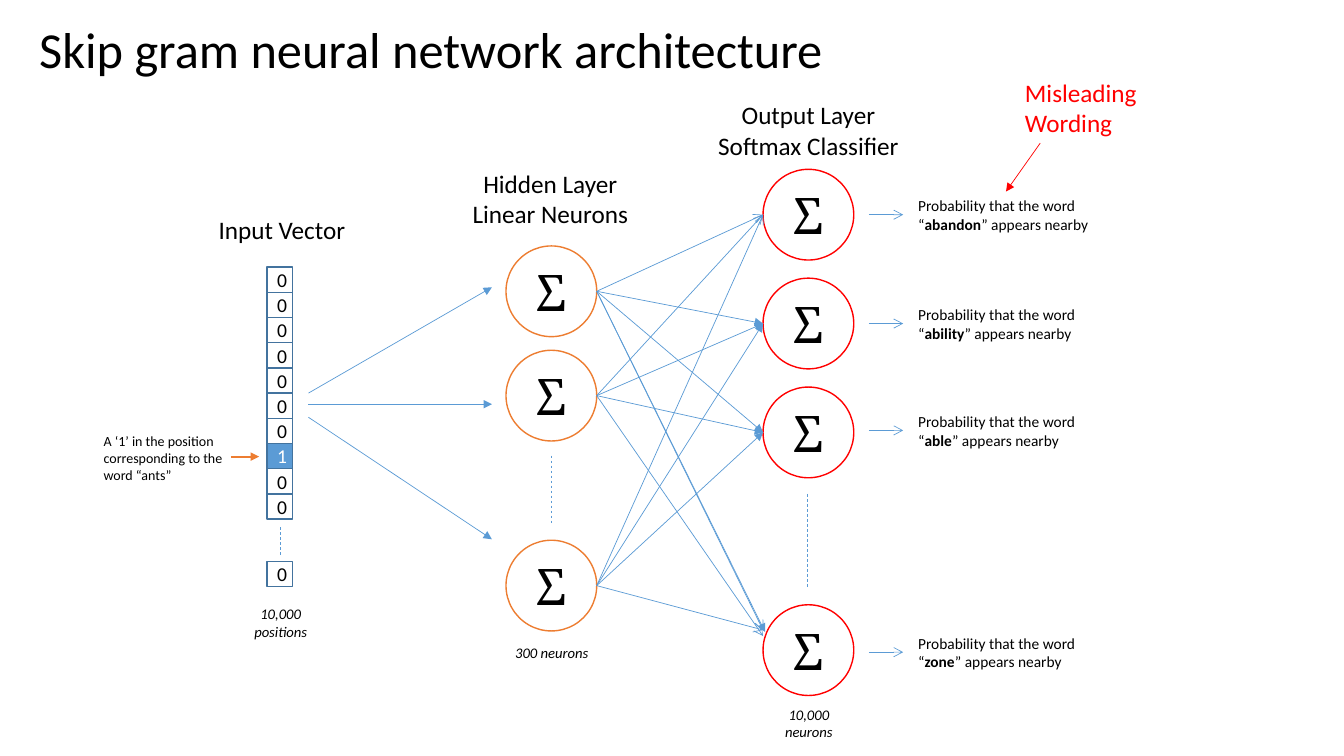
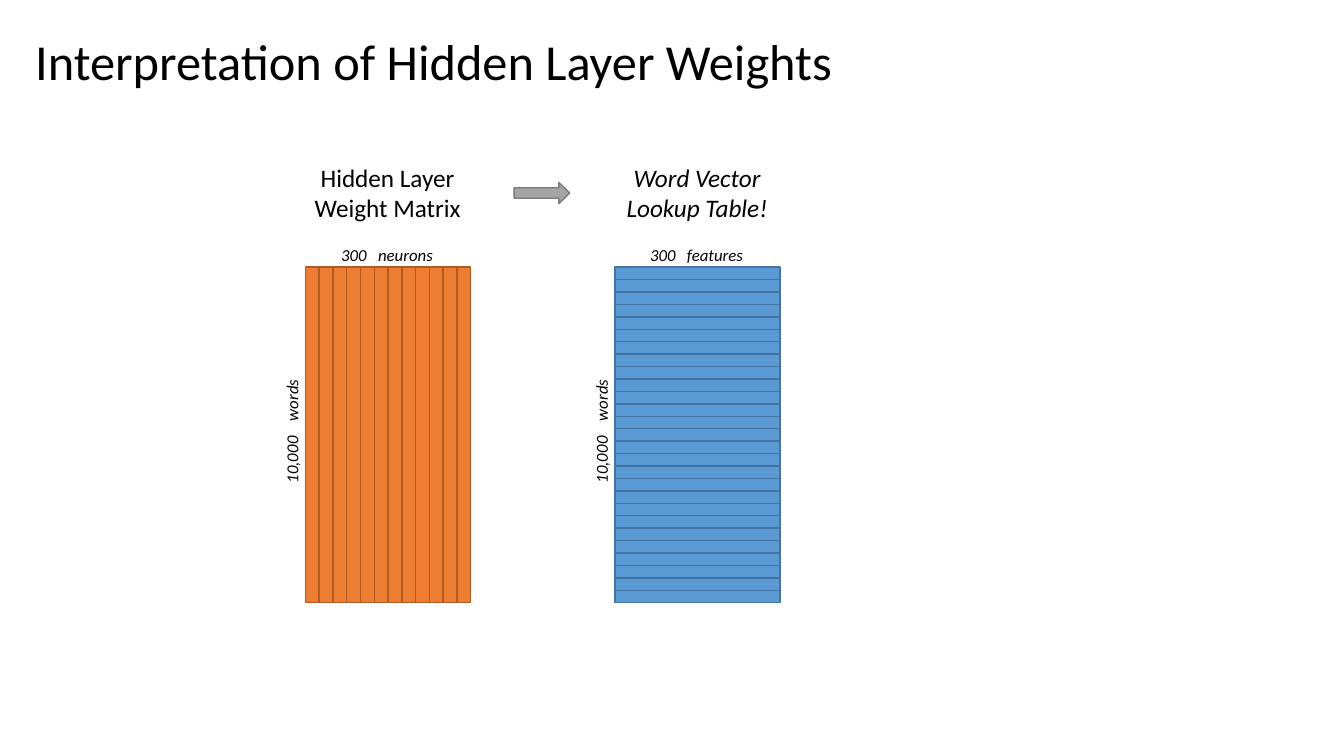
import dataclasses
import itertools
from typing import Any, Optional

import pptx
import pptx.dml.color
import pptx.enum.dml
import pptx.enum.shapes
import pptx.enum.text
import pptx.oxml
import pptx.oxml.ns
import pptx.slide
import pptx.util

# Shared look: colours, fonts and a grid of tenth-inch columns and rows
RGB = pptx.dml.color.RGBColor
BLACK = RGB(0x00, 0x00, 0x00)
WHITE = RGB(0xFF, 0xFF, 0xFF)
RED = RGB(0xFF, 0x00, 0x00)
BLUE = RGB(0x5B, 0x9B, 0xD5)
DARK_BLUE = RGB(0x43, 0x73, 0x9E)
ORANGE = RGB(0xED, 0x7D, 0x31)
DARK_ORANGE = RGB(0xAF, 0x5C, 0x24)
GREY = RGB(0xA5, 0xA5, 0xA5)
DARK_GREY = RGB(0x7A, 0x7A, 0x7A)

MODULE = pptx.util.Inches(0.1)
COLUMNS, ROWS = 133.33, 75
SHAPES = pptx.enum.shapes.MSO_SHAPE
CENTER = pptx.enum.text.PP_ALIGN.CENTER
LEFT = pptx.enum.text.PP_ALIGN.LEFT


def text_format(size: float, name: str = "Calibri", **more: Any) -> dict[str, Any]:
    return {"size": pptx.util.Pt(size), "name": name, **more}


TITLE = text_format(36)
HEADING = text_format(18)
HEADING_ITALIC = text_format(18, italic=True)
COUNT = text_format(10.5, italic=True)
DIMENSION = text_format(12, italic=True)
REMARK = text_format(10)
RESULT = text_format(11)
DIGIT = text_format(14)
SIGMA = text_format(36, "Cambria")


@dataclasses.dataclass(frozen=True)
class Area:
    left: float
    top: float
    width: float
    height: float

    def lengths(self) -> list[int]:
        return [grid(n) for n in (self.left, self.top, self.width, self.height)]


@dataclasses.dataclass(frozen=True)
class Span:
    text: str
    bold: bool = False
    spacing: float = 0


@dataclasses.dataclass(frozen=True)
class Label:
    area: Area
    paras: tuple[tuple[Span, ...], ...]
    format: dict[str, Any]
    align: Any = CENTER
    color: RGB = BLACK
    wrap: bool = True
    rotation: float = 0


@dataclasses.dataclass(frozen=True)
class Figure:
    kind: Any
    area: Area
    line: RGB
    fill: Optional[RGB] = None
    text: str = ""
    format: dict[str, Any] = dataclasses.field(default_factory=dict)
    color: RGB = BLACK


@dataclasses.dataclass(frozen=True)
class Stroke:
    start: tuple[float, float]
    end: tuple[float, float]
    head: str = ""
    color: RGB = BLUE
    weight: float = 0.5
    dashed: bool = False


# Drawing functions
def grid(count: float) -> int:
    return round(count * MODULE)


def apply(target: Any, values: dict[str, Any]) -> None:
    for name, value in values.items():
        setattr(target, name, value)


def lines(*texts: str) -> tuple[tuple[Span, ...], ...]:
    return tuple((Span(text),) for text in texts)


def write(para: Any, span: Span, values: dict[str, Any], color: RGB) -> None:
    run = para.add_run()
    run.text = span.text
    apply(run.font, values)
    run.font.color.rgb = color
    if span.bold:
        run.font.bold = True
    if span.spacing:
        run.font._element.set("spc", str(round(span.spacing * 100)))


def draw_label(page: pptx.slide.Slide, label: Label) -> None:
    box = page.shapes.add_textbox(*label.area.lengths())
    box.rotation = label.rotation
    frame = box.text_frame
    apply(frame, {"word_wrap": label.wrap,
                  "auto_size": pptx.enum.text.MSO_AUTO_SIZE.SHAPE_TO_FIT_TEXT})
    for index, spans in enumerate(label.paras):
        para = frame.add_paragraph() if index else frame.paragraphs[0]
        para.alignment = label.align
        for span in spans:
            write(para, span, label.format, label.color)


def draw_figure(page: pptx.slide.Slide, figure: Figure) -> None:
    shape = page.shapes.add_shape(figure.kind, *figure.area.lengths())
    shape.shadow.inherit = False
    shape.line.color.rgb = figure.line
    shape.line.width = pptx.util.Pt(1)
    if figure.fill is None:
        shape.fill.background()
    else:
        shape.fill.solid()
        shape.fill.fore_color.rgb = figure.fill
    if figure.text:
        shape.text_frame.vertical_anchor = pptx.enum.text.MSO_ANCHOR.MIDDLE
        para = shape.text_frame.paragraphs[0]
        para.alignment = CENTER
        write(para, Span(figure.text), figure.format, figure.color)


def draw_stroke(page: pptx.slide.Slide, stroke: Stroke) -> None:
    ends = [grid(n) for n in (*stroke.start, *stroke.end)]
    connector = page.shapes.add_connector(
        pptx.enum.shapes.MSO_CONNECTOR.STRAIGHT, *ends)
    connector.line.color.rgb = stroke.color
    connector.line.width = pptx.util.Pt(stroke.weight)
    if stroke.dashed:
        connector.line.dash_style = pptx.enum.dml.MSO_LINE.DASH
    properties = connector._element.spPr
    qn = pptx.oxml.ns.qn
    if stroke.head:
        tail = properties.find(qn("a:ln")).makeelement(
            qn("a:tailEnd"), {"type": stroke.head})
        properties.find(qn("a:ln")).append(tail)
    properties.append(properties.makeelement(qn("a:effectLst"), {}))


def draw_title(page: pptx.slide.Slide, text: str, left: float, top: float,
               width: float) -> None:
    draw_label(page, Label(Area(left, top, width, 7.1), lines(text), TITLE,
                           LEFT, wrap=False))


# Slide 1: network
VECTOR_LEFT, VECTOR_TOP, CELL = 26.5, 26.5, 2.5
CELL_ROWS = (*range(10), 11.68)
HOT_ROW = 7
NEURON = 9.0
HIDDEN_LEFT, OUTPUT_LEFT = 50.2, 75.7
HIDDEN_MIDDLES = (28.9, 39.25, 58.1)
OUTPUT_MIDDLES = (21.3, 32.1, 42.9, 64.5)
RESULT_MIDDLES = (21.3, 32.1, 42.7, 64.7)
WORDS = ("abandon", "ability", "able", "zone")
ZONE_ENTRIES = (62.5, 63.1, 62.5)

NETWORK_LABELS = (
    Label(Area(20.7, 20.8, 16.7, 4), lines("Input Vector"), HEADING, LEFT),
    Label(Area(45.1, 16.2, 19, 7.1), lines("Hidden Layer Linear Neurons"), HEADING),
    Label(Area(70, 9.4, 20.4, 7.1), lines("Output Layer Softmax Classifier"), HEADING),
    Label(Area(100.7, 7.2, 20.3, 7.1), lines("Misleading Wording"), HEADING, LEFT, RED),
    Label(Area(22.7, 59.5, 10.3, 4.5), lines("10,000", "positions"), COUNT),
    Label(Area(49.6, 63.4, 10.3, 2.8), lines("300 neurons"), COUNT),
    Label(Area(75.1, 69.5, 10.3, 4.5), lines("10,000 neurons"), COUNT),
    Label(Area(9.3, 42.4, 14.8, 6.1),
          lines("A ‘1’ in the position corresponding to the word “ants”"),
          REMARK, LEFT),
)
NETWORK_STROKES = (
    Stroke((27.8, 52.3), (27.8, 55.2), dashed=True),
    Stroke((54.7, 45.2), (54.7, 51.9), dashed=True),
    Stroke((80.1, 49), (80.1, 58.2), dashed=True),
    Stroke((30.6, 39), (48.8, 28.5), "triangle"),
    Stroke((30.6, 40.1), (48.8, 40.1), "triangle"),
    Stroke((30.6, 41.4), (48.8, 53.5), "triangle"),
    Stroke((59.2, 28.9), (75.9, 62.7), "triangle"),
    Stroke((22.9, 45.3), (25.7, 45.3), "triangle", ORANGE, 1.5),
    Stroke((103.2, 14.2), (99.8, 19), "triangle", RED),
)


def draw_network(page: pptx.slide.Slide) -> None:
    draw_title(page, "Skip gram neural network architecture", 2.9, 1.3, 80.4)

    # One-hot input vector
    for row in CELL_ROWS:
        hot = row == HOT_ROW
        draw_figure(page, Figure(
            SHAPES.RECTANGLE, Area(VECTOR_LEFT, VECTOR_TOP + row * CELL, CELL, CELL),
            DARK_BLUE, BLUE if hot else None, "1" if hot else "0", DIGIT,
            WHITE if hot else BLACK))

    # Both layers of neurons
    layers = ((HIDDEN_LEFT, HIDDEN_MIDDLES, ORANGE), (OUTPUT_LEFT, OUTPUT_MIDDLES, RED))
    for left, middles, color in layers:
        for middle in middles:
            draw_figure(page, Figure(
                SHAPES.OVAL, Area(left, middle - NEURON / 2, NEURON, NEURON),
                color, text="Σ", format=SIGMA))

    # Every hidden neuron feeds every output neuron
    for middle, zone_entry in zip(HIDDEN_MIDDLES, ZONE_ENTRIES):
        entries = (*OUTPUT_MIDDLES[:-1], zone_entry)
        heads = ("arrow", "triangle", "triangle", "arrow")
        for entry, head in zip(entries, heads):
            draw_stroke(page, Stroke((HIDDEN_LEFT + NEURON, middle),
                                     (OUTPUT_LEFT, entry), head))

    # Results
    for word, middle in zip(WORDS, RESULT_MIDDLES):
        draw_stroke(page, Stroke((86.2, middle), (89.6, middle), "arrow"))
        spans = (Span("Probability that the word “"), Span(word, bold=True),
                 Span("” appears nearby"))
        draw_label(page, Label(Area(90.1, middle - 2.3, 19.4, 4.7), (spans,),
                               RESULT, LEFT))

    for stroke in NETWORK_STROKES:
        draw_stroke(page, stroke)
    for label in NETWORK_LABELS:
        draw_label(page, label)


# Slide 2: weight matrix and lookup table
@dataclasses.dataclass(frozen=True)
class Matrix:
    left: float
    columns: int
    rows: int
    fill: RGB
    line: RGB
    heading: tuple[str, str]
    heading_format: dict[str, Any]
    feature: str


MATRIX_TOP, MATRIX_WIDTH, MATRIX_HEIGHT = 26.5, 16.4, 33.3
MATRICES = (
    Matrix(30.3, 12, 1, ORANGE, DARK_ORANGE, ("Hidden Layer", "Weight Matrix"),
           HEADING, "neurons"),
    Matrix(61, 1, 27, BLUE, DARK_BLUE, ("Word Vector", "Lookup Table!"),
           HEADING_ITALIC, "features"),
)


def draw_matrix(page: pptx.slide.Slide, matrix: Matrix) -> None:
    width, height = MATRIX_WIDTH / matrix.columns, MATRIX_HEIGHT / matrix.rows
    for column, row in itertools.product(range(matrix.columns), range(matrix.rows)):
        area = Area(matrix.left + column * width, MATRIX_TOP + row * height, width, height)
        draw_figure(page, Figure(SHAPES.RECTANGLE, area, matrix.line, matrix.fill))

    across = (Span("300"), Span(" ", spacing=5.4), Span(matrix.feature))
    down = (Span("10,000"), Span(" ", spacing=8.1), Span("words"))
    draw_label(page, Label(Area(matrix.left - 2.1, 15.6, 20.5, 7.1),
                           lines(*matrix.heading), matrix.heading_format))
    draw_label(page, Label(Area(matrix.left + 2.4, 23.8, 11.4, 3), (across,),
                           DIMENSION, wrap=False))
    draw_label(page, Label(Area(matrix.left - 7.6, 41.3, 12.5, 3), (down,),
                           DIMENSION, wrap=False, rotation=270))


def draw_weights(page: pptx.slide.Slide) -> None:
    draw_title(page, "Interpretation of Hidden Layer Weights", 2.5, 2.5, 81.8)
    for matrix in MATRICES:
        draw_matrix(page, matrix)
    draw_figure(page, Figure(SHAPES.RIGHT_ARROW, Area(51, 18.1, 5.5, 2.1),
                             DARK_GREY, GREY))


# Build the deck
deck = pptx.Presentation()
apply(deck, {"slide_width": grid(COLUMNS), "slide_height": grid(ROWS)})
for draw in (draw_network, draw_weights):
    draw(deck.slides.add_slide(deck.slide_layouts[6]))
deck.save("out.pptx")
